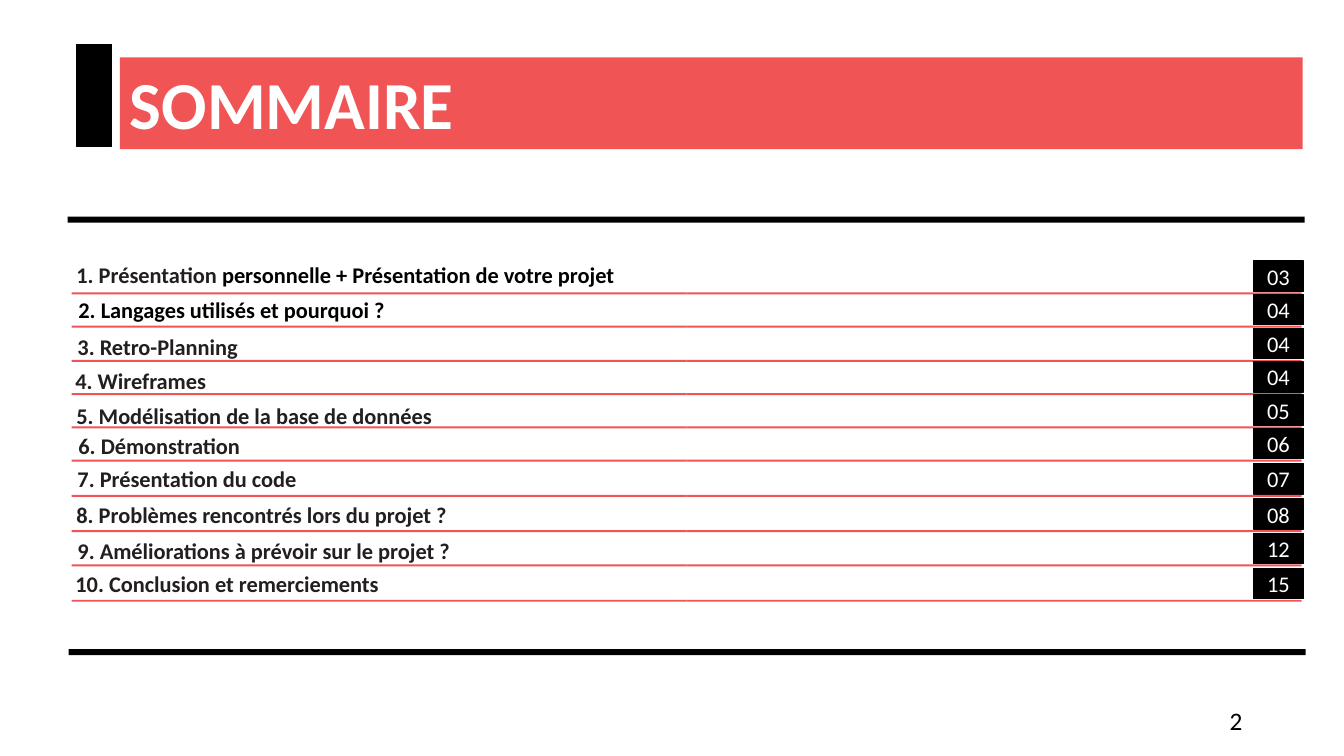
from pptx import Presentation, util as u
from pptx.dml.color import RGBColor
from pptx.enum import shapes, text

THEME = {
    "font": "Calibri",
    "black": "000000", "ink": "231F20", "coral": "F05454", "white": "FFFFFF",
    "title": 48, "entry": 16, "number": 18,
}
LEFT, CENTER, RIGHT = text.PP_ALIGN.LEFT, text.PP_ALIGN.CENTER, text.PP_ALIGN.RIGHT
TOP, MIDDLE = text.MSO_ANCHOR.TOP, text.MSO_ANCHOR.MIDDLE

deck = Presentation()
deck.slide_width, deck.slide_height = u.Inches(13.33), u.Inches(7.5)
slide = deck.slides.add_slide(deck.slide_layouts[6])


def bar(left, top, width, height, colour, outline=0):
    """Add a filled rectangle; outline is a line width in points, 0 for none."""
    shape = slide.shapes.add_shape(
        shapes.MSO_SHAPE.RECTANGLE, *map(u.Inches, (left, top, width, height)))
    shape.shadow.inherit = False
    shape.fill.solid()
    shape.fill.fore_color.rgb = RGBColor.from_string(THEME[colour])
    if outline:
        shape.line.color.rgb = RGBColor.from_string(THEME[colour])
        shape.line.width = u.Pt(outline)
    else:
        shape.line.fill.background()
    return shape


def write(shape, runs, size, align=LEFT, anchor=TOP, bold=False):
    """Fill a shape with one paragraph made of (words, colour) runs."""
    frame = shape.text_frame
    frame.word_wrap = True
    frame.vertical_anchor = anchor
    paragraph = frame.paragraphs[0]
    paragraph.alignment = align
    look = {"name": THEME["font"], "size": u.Pt(THEME[size]), "bold": bold}
    for words, colour in runs:
        run = paragraph.add_run()
        run.text = words
        for key, value in look.items():
            setattr(run.font, key, value)
        run.font.color.rgb = RGBColor.from_string(THEME[colour])


# Heading and the two thick rules that frame the list
bar(0.76, 0.44, 0.35, 1.01, "black", 0.75)
heading = bar(1.19, 0.57, 11.73, 0.91, "coral")
write(heading, [("SOMMAIRE", "white")], "title", bold=True)
for frame_left, frame_top in ((0.67, 2.15), (0.68, 6.44)):
    bar(frame_left, frame_top, 12.27, 0.06, "black")

# Runs of the entry, page, left and top of the entry, top of its rule
entries = [
    ([("1. Présentation ", "ink"),
      ("personnelle + Présentation de votre projet", "black")], "03", 0.66, 2.54, 2.9),
    ([("2. Langages utilisés et pourquoi ?", "black")], "04", 0.68, 2.89, 3.23),
    ([("3. Retro-Planning", "ink")], "04", 0.67, 3.26, 3.57),
    ([("4. Wireframes", "ink")], "04", 0.65, 3.59, 3.9),
    ([("5. Modélisation de la base de données", "ink")], "05", 0.66, 3.94, 4.23),
    ([("6. Démonstration", "ink")], "06", 0.68, 4.24, 4.56),
    ([("7. Présentation du code", "ink")], "07", 0.67, 4.57, 4.91),
    ([("8. Problèmes rencontrés lors du projet ?", "ink")], "08", 0.66, 4.92, 5.26),
    ([("9. Améliorations à prévoir sur le projet ?", "ink")], "12", 0.67, 5.28, 5.6),
    ([("10. Conclusion et remerciements", "ink")], "15", 0.65, 5.61, 5.95),
]
RULE_LEFT, RULE_WIDTH, RULE_HEIGHT = 0.71, 6.1, 0.02
PAGE_LEFT, PAGE_WIDTH, PAGE_HEIGHT, PAGE_RISE = 12.43, 0.5, 0.3, 0.31

for runs, page, entry_left, entry_top, rule_top in entries:
    page_tag = bar(PAGE_LEFT, rule_top - PAGE_RISE, PAGE_WIDTH, PAGE_HEIGHT, "black", 1)
    write(page_tag, [(page, "white")], "entry", CENTER, MIDDLE)
    for half in range(2):
        bar(RULE_LEFT + half * RULE_WIDTH, rule_top, RULE_WIDTH, RULE_HEIGHT, "coral")
    entry = slide.shapes.add_textbox(*map(u.Inches, (entry_left, entry_top, 5.64, 0.37)))
    write(entry, runs, "entry", bold=True)

slide_number = slide.shapes.add_textbox(*map(u.Inches, (9.42, 6.95, 3, 0.4)))
write(slide_number, [("2", "black")], "number", RIGHT, MIDDLE)

deck.save("out.pptx")
